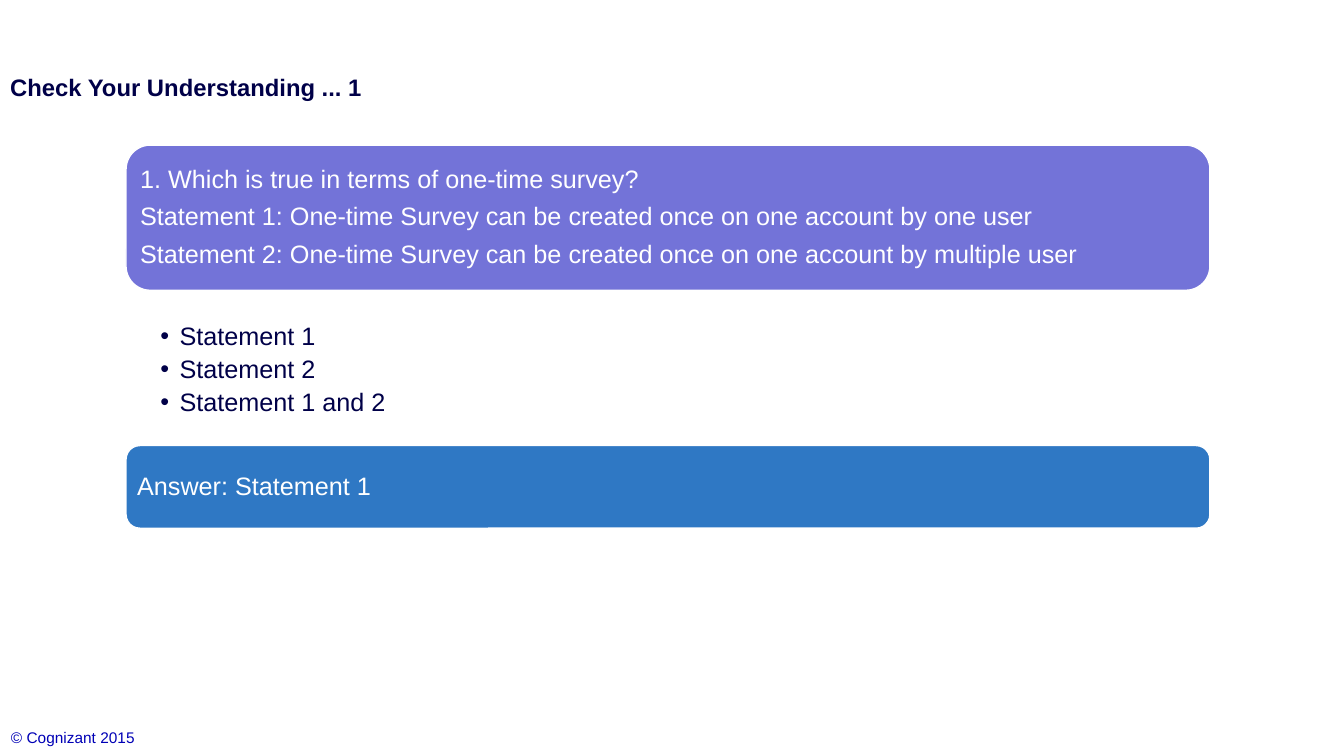
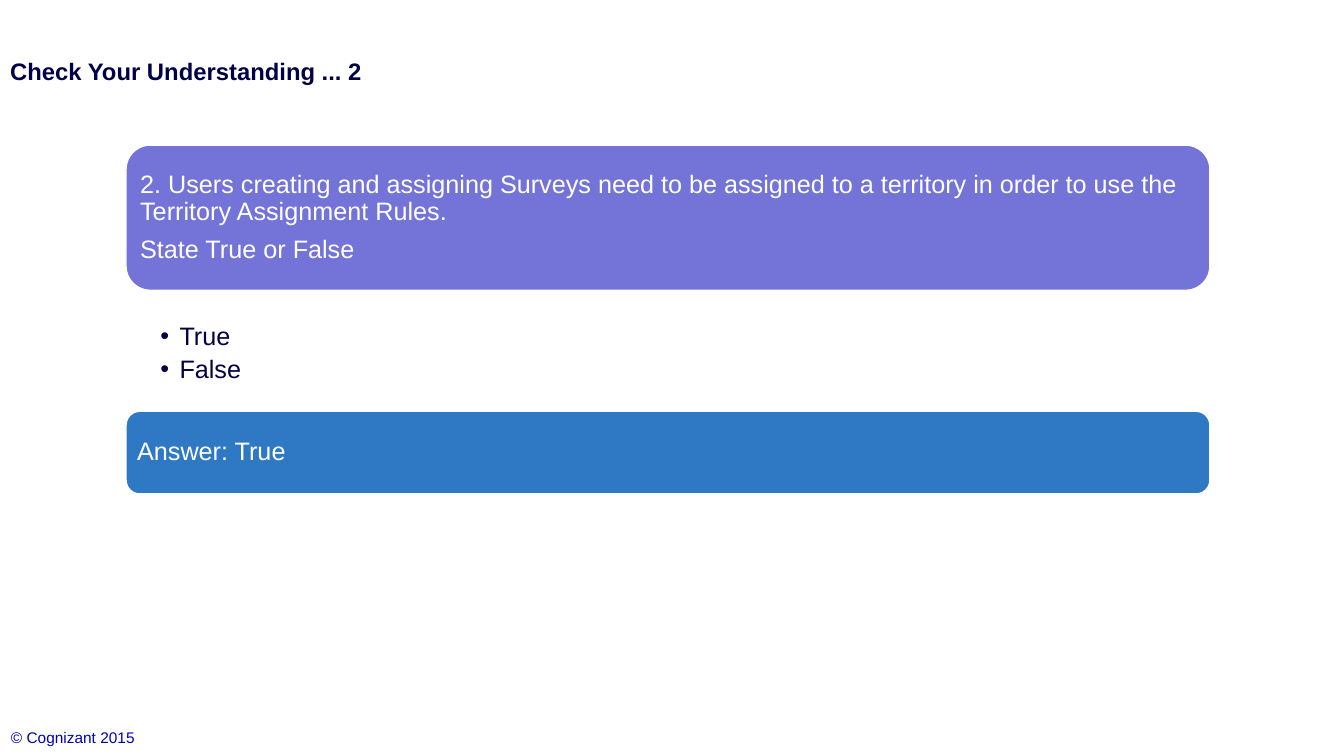
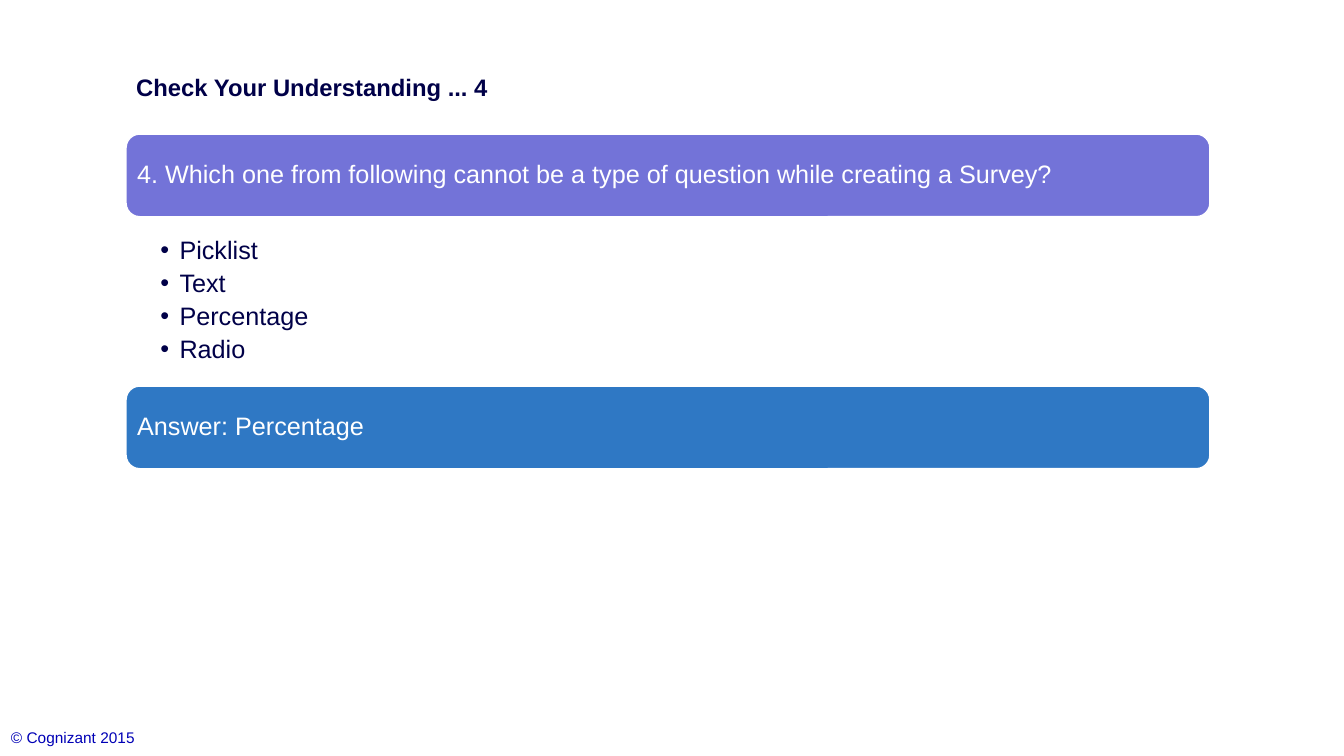
import pptx
import pptx.util
import pptx.dml.color
import pptx.enum.shapes
import pptx.enum.text
import pptx.oxml
import pptx.oxml.ns

RGB = pptx.dml.color.RGBColor
Pt = pptx.util.Pt
NAVY = RGB(0x00, 0x00, 0x48)
BLUE = RGB(0x00, 0x00, 0xB6)
WHITE = RGB(0xFF, 0xFF, 0xFF)
LILAC = RGB(0x73, 0x73, 0xD8)
AZURE = RGB(0x2F, 0x78, 0xC4)

PX = 9144
LEFT, WIDTH = 125, 1075
SMALL = 82
ROUND = pptx.enum.shapes.MSO_SHAPE.ROUNDED_RECTANGLE
MIDDLE = pptx.enum.text.MSO_ANCHOR.MIDDLE
TOP = pptx.enum.text.MSO_ANCHOR.TOP
START = pptx.enum.text.PP_ALIGN.LEFT

FONTS = {
    "title": {"name": "Arial", "size": Pt(17), "bold": True},
    "text": {"name": "Arial", "size": Pt(18), "bold": False},
    "foot": {"name": "Arial", "size": Pt(11), "bold": False},
}
PARAS = {
    "plain": {"alignment": START, "space_before": Pt(0)},
    "band": {"alignment": START, "line_spacing": 0.9, "space_before": Pt(0), "space_after": Pt(7.2)},
    "list": {"alignment": START, "line_spacing": 0.9, "space_before": Pt(0), "space_after": Pt(4.2)},
}

QUIZ = [
    {
        "title": ("Check Your Understanding ... 1", (0, 50, 758, 73)),
        "ask": ([
            "1. Which is true in terms of one-time survey?",
            "Statement 1: One-time Survey can be created once on one account by one user",
            "Statement 2: One-time Survey can be created once on one account by multiple user",
        ], (LEFT, 144, WIDTH, 144)),
        "picks": (["Statement 1", "Statement 2", "Statement 1 and 2"], (LEFT, 318, WIDTH, 118)),
        "reply": (["Answer: Statement 1"], (LEFT, 442, WIDTH, SMALL)),
    },
    {
        "title": ("Check Your Understanding ... 2", (0, 34, 758, 73)),
        "ask": ([
            "2. Users creating and assigning Surveys need to be assigned to a territory "
            "in order to use the Territory Assignment Rules.",
            "State True or False",
        ], (LEFT, 144, WIDTH, 144)),
        "picks": (["True", "False"], (LEFT, 318, WIDTH, 118)),
        "reply": (["Answer: True"], (LEFT, 408, WIDTH, SMALL)),
    },
    {
        "title": ("Check Your Understanding ... 4", (LEFT, 50, 758, 73)),
        "ask": (["4. Which one from following cannot be a type of question while creating a Survey?"],
                (LEFT, 133, WIDTH, SMALL)),
        "picks": (["Picklist", "Text", "Percentage", "Radio"], (LEFT, 233, WIDTH, 129)),
        "reply": (["Answer: Percentage"], (LEFT, 383, WIDTH, SMALL)),
    },
]


def apply(item, style):
    for key, value in style.items():
        setattr(item, key, value)


def scale(box):
    return [n * PX for n in box]


def place(shape, box):
    apply(shape, dict(zip(("left", "top", "width", "height"), scale(box))))


def frame(shape, pads, anchor):
    sides = ("margin_left", "margin_top", "margin_right", "margin_bottom")
    text = shape.text_frame
    apply(text, dict(zip(sides, scale(pads))))
    apply(text, {"word_wrap": True, "vertical_anchor": anchor,
                 "auto_size": pptx.enum.text.MSO_AUTO_SIZE.NONE})
    return text


def bullet(para):
    props = para._p.get_or_add_pPr()
    props.set("marL", str(19 * PX))
    props.set("indent", str(-19 * PX))
    for tag, key, value in (("buFont", "typeface", "Arial"), ("buChar", "char", "•")):
        node = pptx.oxml.parse_xml(
            f'<a:{tag} {pptx.oxml.ns.nsdecls("a")} {key}="{value}"/>')
        props.append(node)


def write(text, lines, para, font, color, dots=False):
    for i, line in enumerate(lines):
        item = text.add_paragraph() if i else text.paragraphs[0]
        item.text = line
        apply(item, PARAS[para])
        if dots:
            bullet(item)
        apply(item.font, FONTS[font])
        item.font.color.rgb = color


def title(slide, line, box):
    shape = slide.shapes.title
    place(shape, box)
    write(frame(shape, (10, 5, 10, 5), MIDDLE), [line], "plain", "title", NAVY)


def band(slide, lines, box, color):
    shape = slide.shapes.add_shape(ROUND, *scale(box))
    shape.shadow.inherit = False
    shape.fill.solid()
    shape.fill.fore_color.rgb = color
    shape.line.color.rgb = WHITE
    shape.line.width = Pt(1)
    write(frame(shape, (7, 7, 7, 7), MIDDLE), lines, "band", "text", WHITE)


def picks(slide, lines, box):
    shape = slide.placeholders[1]
    place(shape, box)
    write(frame(shape, (34, 3, 14, 3), TOP), lines, "list", "text", NAVY, True)


def foot(slide, box):
    shape = slide.shapes.add_textbox(*scale(box))
    write(frame(shape, (10, 5, 10, 5), TOP), ["© Cognizant 2015"], "plain", "foot", BLUE)


def page(deck, quiz):
    slide = deck.slides.add_slide(deck.slide_layouts[1])
    title(slide, *quiz["title"])
    band(slide, *quiz["ask"], LILAC)
    picks(slide, *quiz["picks"])
    foot(slide, (1, 717, 200, 25))
    band(slide, *quiz["reply"], AZURE)


def main():
    deck = pptx.Presentation()
    apply(deck, {"slide_width": 1333 * PX, "slide_height": 750 * PX})
    for quiz in QUIZ:
        page(deck, quiz)
    deck.save("out.pptx")


if __name__ == "__main__":
    main()
